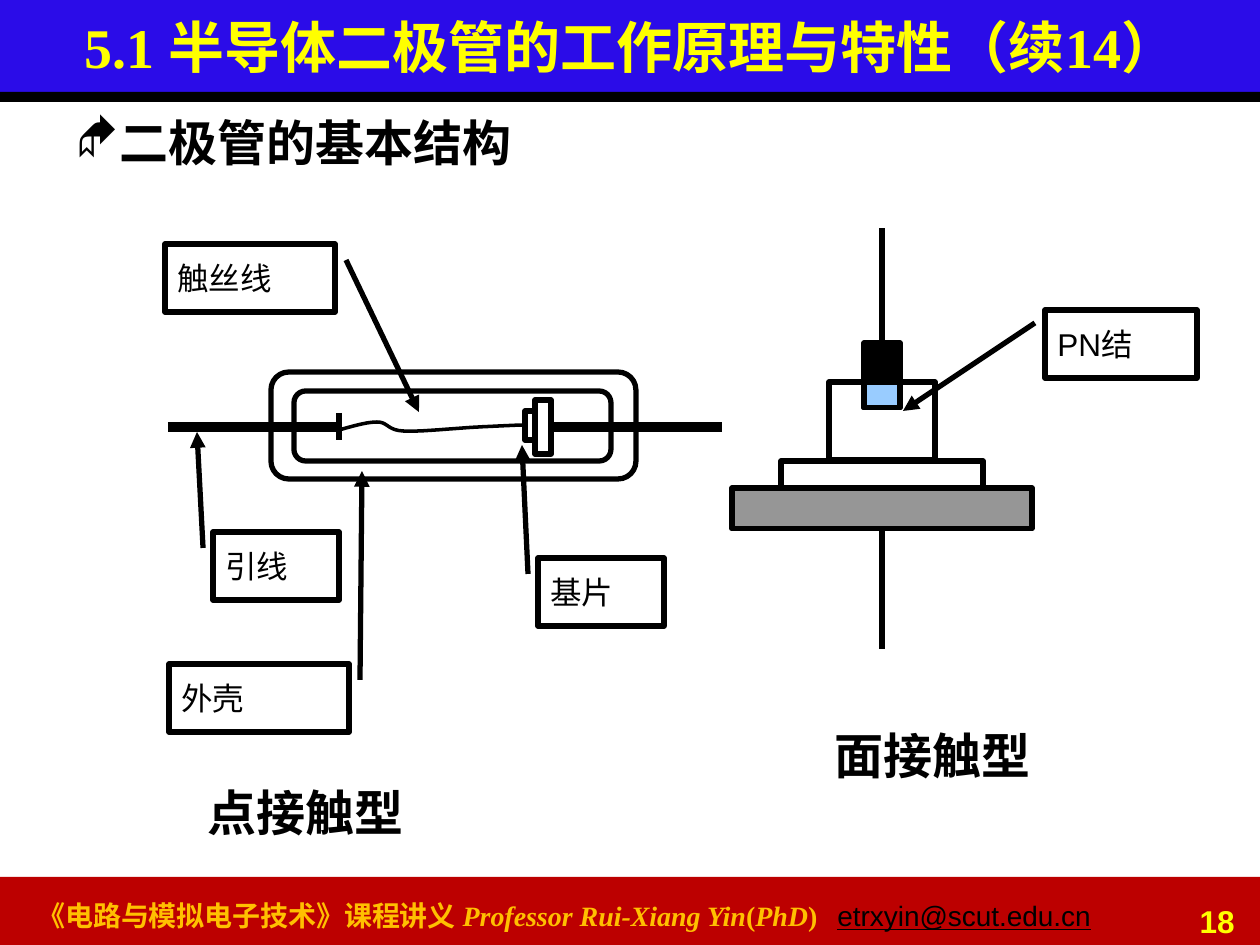
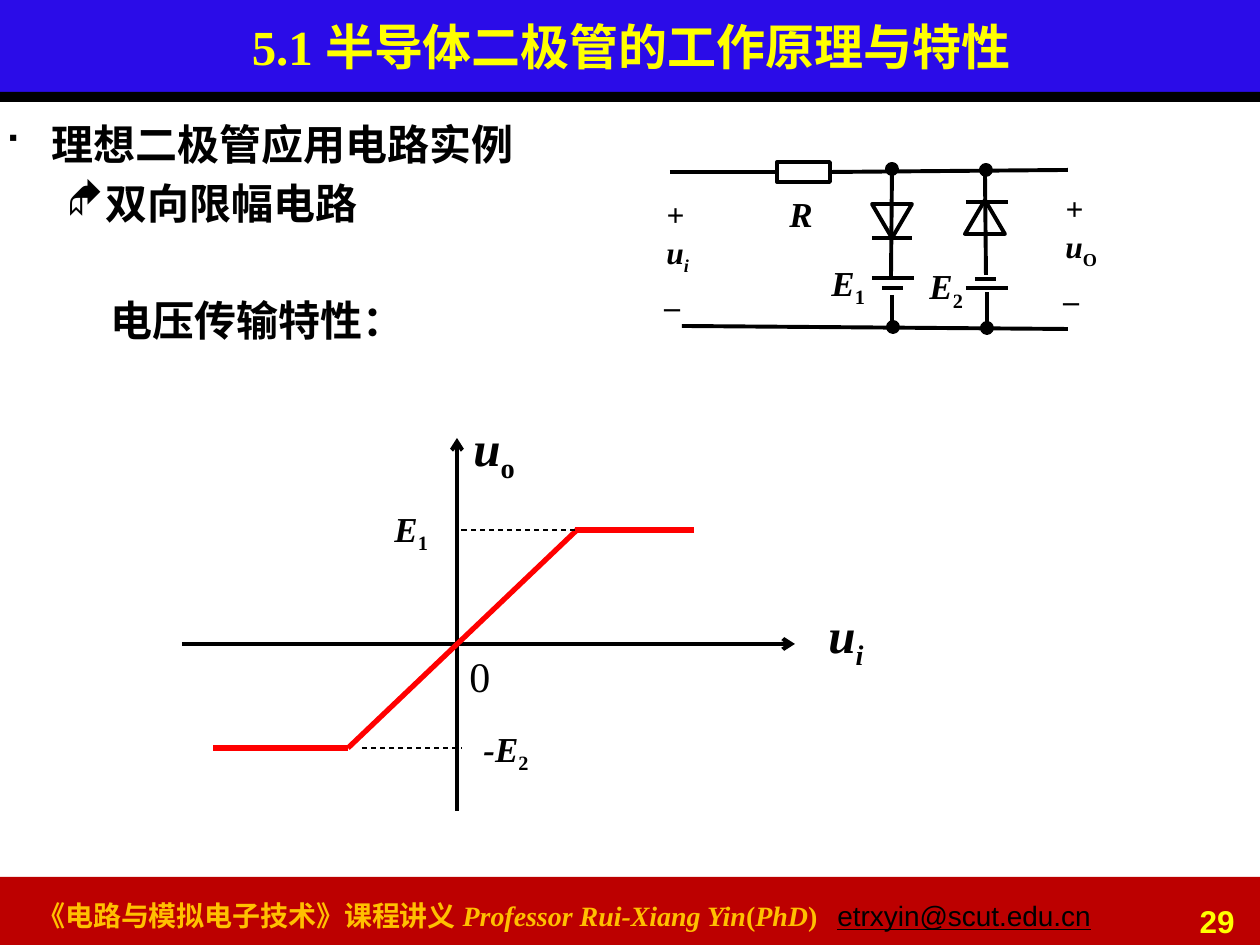
"""Build two lecture slides on diode structure and a two-way limiter circuit."""
from dataclasses import dataclass

from lxml.etree import SubElement
from pptx import Presentation
from pptx.dml.color import RGBColor as RGB
from pptx.enum.dml import MSO_LINE
from pptx.enum.shapes import MSO_CONNECTOR, MSO_SHAPE as SHAPE
from pptx.enum.text import MSO_ANCHOR as ANCHOR, MSO_AUTO_SIZE as AUTO, PP_ALIGN as ALIGN
from pptx.oxml.ns import qn
from pptx.util import Pt

PX = 7257


@dataclass(frozen=True)
class Theme:
    black: RGB = RGB(0, 0, 0)
    white: RGB = RGB(255, 255, 255)
    yellow: RGB = RGB(255, 255, 0)
    gold: RGB = RGB(0xFF, 0xC0, 0)
    blue: RGB = RGB(0x2B, 0x0C, 0xE8)
    crimson: RGB = RGB(0xBC, 0, 0)
    red: RGB = RGB(255, 0, 0)
    gray: RGB = RGB(0x96, 0x96, 0x96)
    sky: RGB = RGB(0x99, 0xCC, 0xFF)
    serif: str = "Times New Roman"
    sans: str = "Arial"
    footer: int = 16
    small: int = 18
    symbol: int = 20
    text: int = 24
    heading: int = 28
    title: int = 32
    thin: float = 2.25
    thick: float = 3


theme = Theme()


def draw(slide, preset, frame, fill=None, weight=theme.thick):
    shape = slide.shapes.add_shape(preset, *(n * PX for n in frame))
    shape.shadow.inherit = False
    if fill is None:
        shape.fill.background()
    else:
        shape.fill.solid()
        shape.fill.fore_color.rgb = fill
    if weight:
        shape.line.color.rgb = theme.black
        shape.line.width = Pt(weight)
    else:
        shape.line.fill.background()
    return shape


def wire(slide, ends, weight=theme.thin, color=theme.black, dash=False, arrow=False):
    link = slide.shapes.add_connector(MSO_CONNECTOR.STRAIGHT, *(n * PX for n in ends))
    link.line.color.rgb = color
    link.line.width = Pt(weight)
    if dash:
        link.line.dash_style = MSO_LINE.DASH
    properties = link.element.spPr
    if arrow:
        SubElement(properties.find(qn("a:ln")), qn("a:tailEnd"), type="arrow")
    SubElement(properties, qn("a:effectLst"))
    return link


deck = Presentation()
deck.slide_width, deck.slide_height = 1260 * PX, 945 * PX
layout = deck.slide_layouts[1]
for spare in list(layout.placeholders)[2:]:
    spare.element.getparent().remove(spare.element)

structure, limiter = (deck.slides.add_slide(layout) for _ in range(2))

bands = [
    ((-3, 877, 1265, 70), theme.crimson),
    ((-3, 0, 1265, 96), theme.blue),
    ((-1, 92, 1262, 10), theme.black),
]
shared = [draw(structure, SHAPE.RECTANGLE, frame, fill, 0) for frame, fill in bands]
credit = structure.shapes.add_textbox(25 * PX, 892 * PX, 1111 * PX, 47 * PX)
credit.text_frame.word_wrap = True
credit_line = credit.text_frame.paragraphs[0]
tabs = SubElement(credit_line._p.get_or_add_pPr(), qn("a:tabLst"))
SubElement(tabs, qn("a:tab"), pos=str(800 * PX), algn="l")
credit_line.font.size = Pt(theme.footer)
for words, italic in [
    ("《电路与模拟电子技术》课程讲义 ", False),
    ("Professor Rui-Xiang Yin", True),
    ("(", False),
    ("PhD", True),
    (")\t", False),
]:
    run = credit_line.add_run()
    run.text = words
    run.font.name, run.font.bold, run.font.italic = theme.serif, True, italic
    run.font.color.rgb = theme.gold
address = credit_line.add_run()
address.text = "etrxyin@scut.edu.cn"
address.font.name, address.font.underline = theme.sans, True
address.font.color.rgb = theme.black
for part in [*shared, credit]:
    layout.shapes.element.append(part.element)

bullets = {0: ("■", 48, 48), 1: ("◆", 102, 39)}
pages = [
    (structure, "5.1 半导体二极管的工作原理与特性（续14）", theme.title, "18",
     (0, 106, 1225, 764), theme.heading, [("二极管的基本结构", 1)]),
    (limiter, "5.1 半导体二极管的工作原理与特性", theme.heading, "29",
     (-9, 112, 1178, 125), theme.text, [("理想二极管应用电路实例", 0), ("双向限幅电路", 1)]),
]
for slide, heading, heading_size, number, body_frame, body_size, points in pages:
    title, body = slide.placeholders
    page = slide.shapes.add_textbox(1129 * PX, 896 * PX, 118 * PX, 39 * PX)
    for part, frame in [(title, (0, 0, 1262, 92)), (body, body_frame)]:
        part.left, part.top, part.width, part.height = (n * PX for n in frame)
        part.text_frame.auto_size = AUTO.NONE
    title.text_frame.vertical_anchor = ANCHOR.MIDDLE
    for part, words, align, font, size in [
        (title, heading, ALIGN.CENTER, theme.serif, heading_size),
        (page, number, ALIGN.RIGHT, theme.sans, theme.small),
    ]:
        part.text_frame.word_wrap = True
        line = part.text_frame.paragraphs[0]
        line.text, line.alignment = words, align
        line.font.name, line.font.size, line.font.bold = font, Pt(size), True
        line.font.color.rgb = theme.yellow
    for index, (words, level) in enumerate(points):
        point = body.text_frame.add_paragraph() if index else body.text_frame.paragraphs[0]
        point.text, point.level = words, level
        mark, margin, hang = bullets[level]
        properties = point._p.get_or_add_pPr()
        properties.set("marL", str(margin * PX))
        properties.set("indent", str(-hang * PX))
        SubElement(properties, qn("a:buFont"), typeface="Wingdings")
        SubElement(properties, qn("a:buChar"), char=mark)
        point.space_before = Pt(5 if index else 0)
        point.font.name, point.font.size, point.font.bold = theme.serif, Pt(body_size), True
        point.font.color.rgb = theme.black

for shell in [(271, 372, 365, 107), (294, 391, 317, 70)]:
    draw(structure, SHAPE.ROUNDED_RECTANGLE, shell).adjustments[0] = 0.167
plate = draw(structure, SHAPE.RECTANGLE, (535, 400, 16, 54))
draw(structure, SHAPE.RECTANGLE, (525, 411, 10, 29))
wire(structure, (168, 427, 339, 427), 6)
wire(structure, (551, 427, 722, 427), 6).begin_connect(plate, 3)
wire(structure, (339, 413, 339, 440), theme.thick)

whisker_curves = [
    ((339, 430), (353, 426), (367, 422), (377, 422)),
    ((377, 422), (388, 422), (387, 430), (403, 431)),
    ((403, 431), (421, 432), (457, 428), (478, 427)),
    ((478, 427), (498, 426), (518, 425), (525, 425)),
]
whisker_points = []
for curve in whisker_curves:
    for step in range(1, 11):
        t = step / 10
        weights = ((1 - t) ** 3, 3 * t * (1 - t) ** 2, 3 * t * t * (1 - t), t ** 3)
        whisker_points.append(tuple(
            round(PX * sum(w * knot[axis] for w, knot in zip(weights, curve))) for axis in (0, 1)
        ))
outline = structure.shapes.build_freeform(339 * PX, 430 * PX)
outline.add_line_segments(whisker_points, close=False)
whisker = outline.convert_to_shape()
whisker.shadow.inherit = False
whisker.fill.background()
whisker.line.color.rgb, whisker.line.width = theme.black, Pt(2)

base = draw(structure, SHAPE.RECTANGLE, (732, 488, 300, 41), theme.gray)
for layer in [(781, 461, 202, 27), (829, 382, 106, 78)]:
    draw(structure, SHAPE.RECTANGLE, layer)
electrode = draw(structure, SHAPE.RECTANGLE, (864, 343, 36, 65), theme.black)
draw(structure, SHAPE.RECTANGLE, (864, 382, 36, 26), theme.sky)
wire(structure, (882, 529, 882, 649), theme.thick).begin_connect(base, 2)
wire(structure, (882, 343, 882, 228), theme.thick).begin_connect(electrode, 0)

callouts = [
    ("引线", 213, 532, 126, (203, 548), (197, 432)),
    ("外壳", 169, 664, 180, (360, 680), (362, 471)),
    ("触丝线", 165, 244, 170, (346, 260), (419, 412)),
    ("基片", 538, 558, 126, (528, 574), (522, 445)),
    ("PN结", 1045, 310, 152, (1035, 323), (903, 411)),
]
for words, left, top, width, start, tip in callouts:
    callout = draw(structure, SHAPE.LINE_CALLOUT_1, (left, top, width, 68))
    for index, (x, y) in enumerate((start, tip)):
        callout.adjustments[2 * index] = round((y - top) / 68, 3)
        callout.adjustments[2 * index + 1] = round((x - left) / width, 3)
    SubElement(callout.element.spPr.find(qn("a:ln")), qn("a:tailEnd"), type="triangle")
    callout.text_frame.word_wrap = True
    callout.text_frame.vertical_anchor = ANCHOR.MIDDLE
    line = callout.text_frame.paragraphs[0]
    line.text, line.alignment = words, ALIGN.LEFT
    line.font.name, line.font.size = theme.sans, Pt(theme.small)
    line.font.color.rgb = theme.black

for words, left, top in [("点接触型", 195, 776), ("面接触型", 822, 719)]:
    caption = structure.shapes.add_textbox(left * PX, top * PX, 262 * PX, 72 * PX)
    caption.text_frame.word_wrap = True
    caption.text_frame.vertical_anchor = ANCHOR.MIDDLE
    line = caption.text_frame.paragraphs[0]
    line.text = words
    line.font.name, line.font.size, line.font.bold = theme.sans, Pt(theme.heading), True
    line.font.color.rgb = theme.black

resistor = draw(limiter, SHAPE.RECTANGLE, (777, 162, 53, 20), weight=theme.thin)
wire(limiter, (670, 172, 777, 172)).end_connect(resistor, 1)
wire(limiter, (830, 172, 1068, 170)).begin_connect(resistor, 3)
for ends in [
    (682, 326, 1068, 329),
    (872, 238, 912, 238), (891, 278, 892, 171), (872, 278, 914, 278),
    (882, 288, 903, 288), (892, 295, 892, 328),
    (966, 202, 1008, 202), (985, 168, 986, 275), (975, 279, 996, 279),
    (966, 288, 1008, 288), (987, 325, 987, 292),
]:
    wire(limiter, ends)
for frame, turn in [((872, 204, 40, 34), 180), ((965, 200, 40, 34), 0)]:
    draw(limiter, SHAPE.ISOSCELES_TRIANGLE, frame, weight=theme.thin).rotation = turn
for left, top in [(887, 164), (888, 322), (981, 165), (982, 323)]:
    draw(limiter, SHAPE.OVAL, (left, top, 10, 10), theme.black, theme.thin)

note = draw(limiter, SHAPE.RECTANGLE, (98, 273, 324, 79), theme.white, 0)
note.text_frame.word_wrap = True
note.text_frame.vertical_anchor = ANCHOR.TOP
line = note.text_frame.paragraphs[0]
line.text, line.alignment, line.line_spacing = "电压传输特性：", ALIGN.JUSTIFY, 1.3
line.font.name, line.font.size, line.font.bold = theme.serif, Pt(theme.text), True
line.font.color.rgb = theme.black

for axis in [(182, 644, 795, 644), (457, 811, 457, 438)]:
    wire(limiter, axis, arrow=True)
for segment in [(348, 748, 577, 530), (348, 748, 213, 748), (575, 530, 694, 530)]:
    wire(limiter, segment, theme.thick, theme.red)
for guide in [(575, 530, 457, 530), (362, 748, 462, 748)]:
    wire(limiter, guide, 0.75, dash=True)

symbols = [
    ((654, 189, 57, 127), theme.small, [("+", ""), ("u", "i"), ("_", "")]),
    ((1053, 183, 63, 127), theme.small, [("+", ""), ("u", "O"), ("_", "")]),
    ((777, 186, 49, 54), theme.symbol, [("R", "")]),
    ((819, 255, 106, 55), theme.symbol, [("E", "1")]),
    ((917, 258, 106, 55), theme.symbol, [("E", "2")]),
    ((457, 644, 82, 64), theme.text, [("0", "")]),
    ((816, 598, 131, 72), theme.heading, [("u", "i")]),
    ((461, 411, 131, 72), theme.heading, [("u", "o")]),
    ((471, 721, 131, 55), theme.symbol, [("-E", "2")]),
    ((382, 501, 131, 55), theme.symbol, [("E", "1")]),
]
for frame, size, lines in symbols:
    symbol = limiter.shapes.add_textbox(*(n * PX for n in frame)).text_frame
    symbol.word_wrap = True
    for index, (letter, subscript) in enumerate(lines):
        line = symbol.add_paragraph() if index else symbol.paragraphs[0]
        line.font.name, line.font.size = theme.serif, Pt(size)
        line.font.color.rgb = theme.black
        line.font.bold = line.font.italic = letter != "0"
        line.add_run().text = letter
        if subscript:
            run = line.add_run()
            run.text = subscript
            run.font.italic = subscript == "i"
            run._r.get_or_add_rPr().set("baseline", "-25000")

deck.save("out.pptx")
